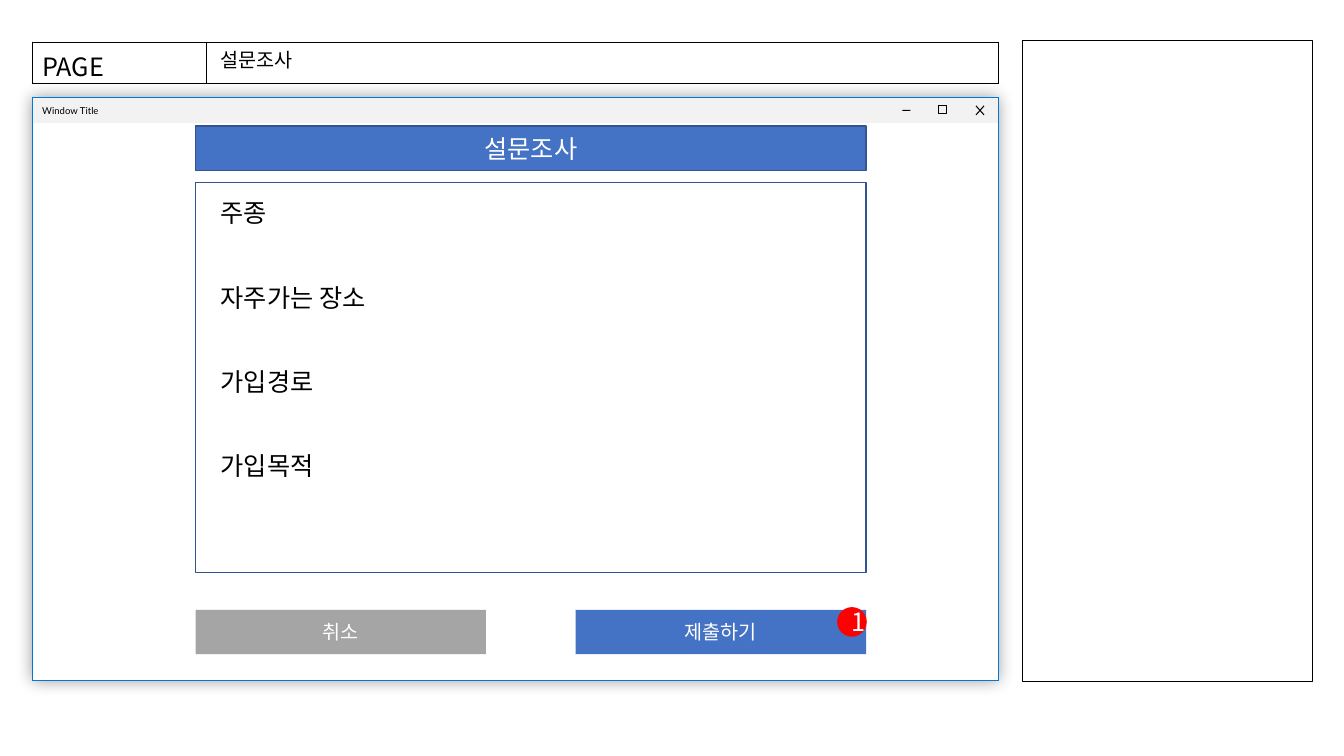
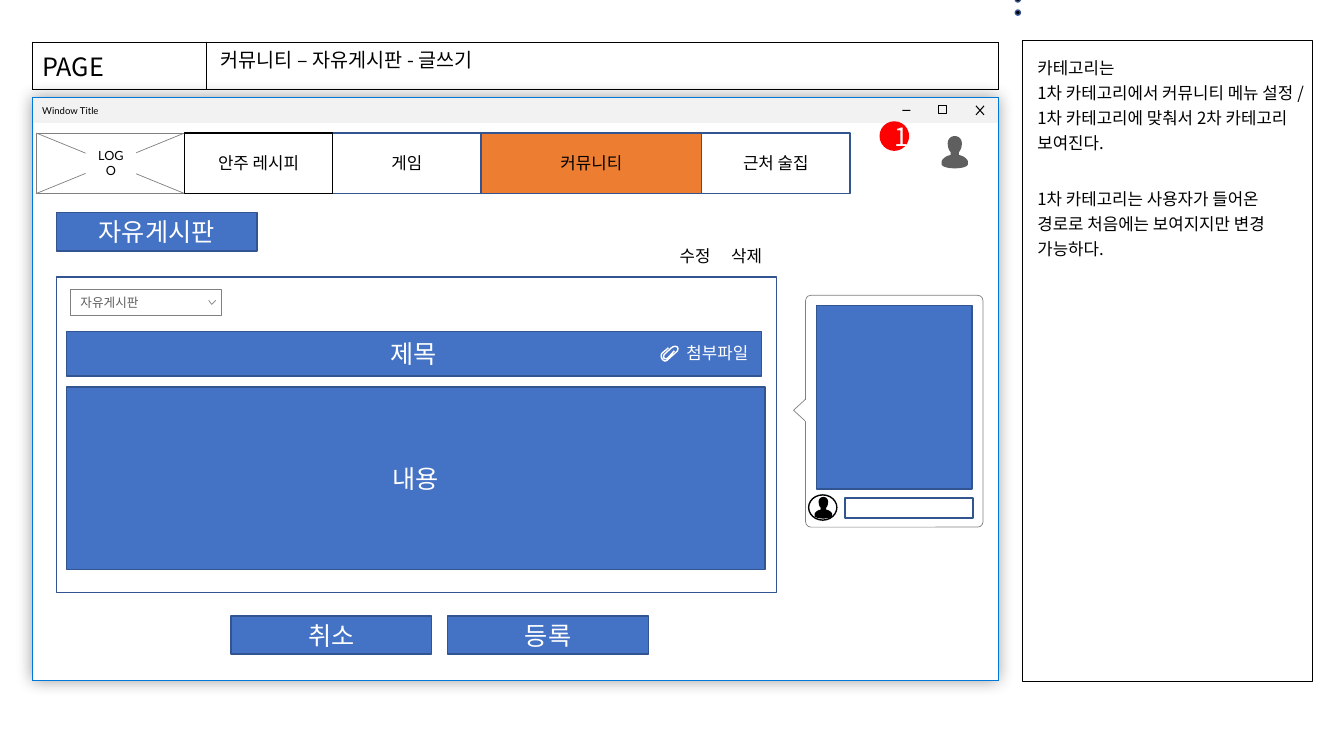
from lxml.etree import SubElement
from pptx import Presentation
from pptx.dml.color import RGBColor
from pptx.enum.shapes import MSO_CONNECTOR, MSO_SHAPE as Geo
from pptx.enum.text import MSO_ANCHOR as Anchor, PP_ALIGN as Align
from pptx.oxml.ns import qn
from pptx.util import Pt

PX = 9144
COLORS = {
    "white": "FFFFFF", "black": "000000", "blue": "4472C4", "edge": "325491",
    "orange": "ED7D31", "silver": "A5A5A5", "red": "FF0000", "frame": "0078D7",
    "bar": "F2F2F2", "gray": "808080", "dark": "5F5F5F",
}
KOREAN = "Noto Sans CJK KR"
LATIN = "Lato"
PERSON_HALF = [
    [(13, 0), (9, 0), (6, 3), (6, 7)],
    [(6, 7), (6, 11), (7, 14), (9, 16)],
    [(9, 17), (9, 18), (9, 19), (8, 19)],
    [(8, 19), (3, 20), (0, 24), (0, 25)],
    [(0, 28), (0, 30), (5, 32), (13, 32)],
]
PERSON = PERSON_HALF + [
    [(26 - x, y) for x, y in reversed(curve)] for curve in reversed(PERSON_HALF)
]
CLIP = [
    [(80, 20)],
    [(15, 75), (-10, 110), (30, 170), (65, 145)],
    [(165, 55), (195, 10), (145, -10), (110, 20)],
    [(40, 85), (15, 115), (45, 145), (75, 120)],
    [(138, 50)],
]


def rgb(name):
    return RGBColor.from_string(COLORS[name])


def bezier(points, t):
    while len(points) > 1:
        points = [
            (a + (c - a) * t, b + (d - b) * t)
            for (a, b), (c, d) in zip(points, points[1:])
        ]
    return points[0]


def sample(curves, steps=8):
    return [
        bezier(curve, step / steps)
        for curve in curves
        for step in (range(steps + 1) if len(curve) > 1 else [0])
    ]


class Wireframe:
    def __init__(self):
        self.deck = Presentation()
        self.deck.slide_width = 1333 * PX
        self.deck.slide_height = 750 * PX
        self.shapes = None

    def page(self, heading, row_height):
        layout = self.deck.slide_layouts[6]
        self.shapes = self.deck.slides.add_slide(layout).shapes
        self.box(1014, 40, 288, 636, None, "black", 0.75)
        self.window()
        self.page_table(row_height)
        self.text(209, 41, 747, 36, heading, size=14)

    def window(self):
        panel = self.box(32, 97, 958, 578, "white", "frame", 0.5)
        self.glow(panel)
        self.box(32, 97, 958, 25, "bar", None, text="Window Title", size=6.8,
                 color="black", font=LATIN, align=Align.LEFT, insets=(10, 6, 10, 5))
        self.box(895, 109, 8, 1, "black", None)
        self.box(931, 105, 8, 8, None, "black", 0.75)
        self.rule(968, 105, 976, 114, "black", 0.75)
        self.rule(968, 114, 976, 105, "black", 0.75)
        self.box(32, 97, 958, 578, None, "frame", 0.5)

    def glow(self, shape):
        effects = shape._element.spPr.find(qn("a:effectLst"))
        shadow = SubElement(effects, qn("a:outerShdw"), blurRad=str(Pt(12)),
                            dist="0", dir="0", algn="ctr", rotWithShape="0")
        shade = SubElement(shadow, qn("a:srgbClr"), val=COLORS["black"])
        SubElement(shade, qn("a:alpha"), val="40000")

    def page_table(self, height):
        table = self.shapes.add_table(
            1, 2, 32 * PX, 42 * PX, 958 * PX, height * PX).table
        table.first_row = table.horz_banding = False
        table.rows[0].height = height * PX
        for column, width in zip(table.columns, (173, 785)):
            column.width = width * PX
        for cell in table.iter_cells():
            cell.margin_bottom = 0
            props = cell._tc.get_or_add_tcPr()
            for side in ("lnL", "lnR", "lnT", "lnB"):
                border = SubElement(props, qn("a:" + side), w=str(Pt(1)))
                fill = SubElement(border, qn("a:solidFill"))
                SubElement(fill, qn("a:srgbClr"), val=COLORS["black"])
            cell.fill.background()
        label = table.cell(0, 0).text_frame
        label.text = "PAGE"
        self.format(label, 18, "black", KOREAN, Align.LEFT)

    def format(self, frame, size, color, font, align):
        for paragraph in frame.paragraphs:
            paragraph.alignment = align
            for run in paragraph.runs:
                run.font.size = Pt(size)
                run.font.color.rgb = rgb(color)
                run.font.name = font
                SubElement(run._r.get_or_add_rPr(), qn("a:ea"), typeface=KOREAN)

    def paint(self, shape, fill, line, weight):
        shape.shadow.inherit = False
        if fill:
            shape.fill.solid()
            shape.fill.fore_color.rgb = rgb(fill)
        else:
            shape.fill.background()
        if line:
            shape.line.color.rgb = rgb(line)
            shape.line.width = Pt(weight)
        else:
            shape.line.fill.background()
        return shape

    def box(self, left, top, width, height, fill="blue", line="edge", weight=1,
            text="", size=18, color="white", font=KOREAN, align=Align.CENTER,
            insets=(10, 5, 10, 5), geometry=Geo.RECTANGLE):
        shape = self.shapes.add_shape(
            geometry, left * PX, top * PX, width * PX, height * PX)
        self.paint(shape, fill, line, weight)
        if text:
            frame = shape.text_frame
            frame.text = text
            frame.word_wrap = True
            frame.vertical_anchor = Anchor.MIDDLE
            (frame.margin_left, frame.margin_top,
             frame.margin_right, frame.margin_bottom) = [i * PX for i in insets]
            self.format(frame, size, color, font, align)
        return shape

    def text(self, left, top, width, height, text, size=18, color="black",
             anchor=Anchor.MIDDLE, spacing=None, gap=0):
        frame = self.shapes.add_textbox(
            left * PX, top * PX, width * PX, height * PX).text_frame
        frame.word_wrap = True
        frame.vertical_anchor = anchor
        frame.text = text
        for index, paragraph in enumerate(frame.paragraphs):
            paragraph.line_spacing = spacing
            paragraph.space_before = Pt(gap if index else 0)
        self.format(frame, size, color, KOREAN, Align.LEFT)

    def marker(self, left, top, number):
        self.box(left, top, 28, 28, "red", "red", text=number, geometry=Geo.OVAL)

    def rule(self, x1, y1, x2, y2, color, weight):
        line = self.shapes.add_connector(
            MSO_CONNECTOR.STRAIGHT, x1 * PX, y1 * PX, x2 * PX, y2 * PX)
        line.line.color.rgb = rgb(color)
        line.line.width = Pt(weight)
        SubElement(line._element.spPr, qn("a:effectLst"))

    def outline(self, left, top, points, scale=1, fill=None, line=None,
                weight=1, close=False):
        factor = 100
        (x, y), *rest = [(round(a * factor), round(b * factor)) for a, b in points]
        builder = self.shapes.build_freeform(x, y, scale=scale * PX / factor)
        builder.add_line_segments(rest, close=close)
        shape = builder.convert_to_shape(left * PX, top * PX)
        self.paint(shape, fill, line, weight)

    def person(self, left, top, scale, color):
        self.outline(left, top, sample(PERSON), scale, fill=color, close=True)


def survey(wire):
    wire.page("설문조사", 41)
    wire.box(194, 125, 665, 44, text="설문조사")
    wire.box(571, 605, 288, 44, line=None, text="제출하기", size=14)
    wire.marker(831, 603, "1")
    wire.box(194, 605, 288, 44, "silver", None, text="취소", size=14)
    wire.box(194, 181, 665, 387, "white")
    wire.text(209, 191, 190, 313, "주종\n자주가는 장소\n가입경로\n가입목적",
              anchor=Anchor.TOP, gap=38.7)


def navigation(wire):
    wire.box(36, 132, 147, 60, "white", "gray", 0.5)
    wire.rule(36, 192, 183, 132, "gray", 0.5)
    wire.rule(183, 192, 36, 132, "gray", 0.5)
    wire.box(85, 150, 50, 23, "white", None, text="LOGO", size=9,
             color="black", font=LATIN, insets=(8, 4, 8, 4))
    for left, width, fill, line, menu in (
        (330, 147, "white", "edge", "게임"),
        (477, 219, "orange", "edge", "커뮤니티"),
        (696, 147, "white", "edge", "근처 술집"),
        (183, 147, "white", "black", "안주 레시피"),
    ):
        wire.box(left, 132, width, 60, fill, line, text=menu, size=12, color="black")
    wire.marker(873, 121, "1")
    wire.person(934, 135, 1, "dark")


def chat(wire):
    bubble = wire.box(799, 293, 176, 230, "white", "gray", 0.5,
                      geometry=Geo.ROUNDED_RECTANGLE)
    bubble.adjustments[0] = 0.03
    tail = wire.box(782, 401, 22, 12, "white", "gray", 0.5,
                    geometry=Geo.ISOSCELES_TRIANGLE)
    tail.rotation = 270
    wire.rule(799, 397, 799, 418, "white", 0.5)
    wire.box(838, 494, 127, 20, "white")
    wire.box(810, 303, 154, 182)
    wire.box(802, 491, 28, 25, "white", "black", geometry=Geo.OVAL)
    wire.person(808, 493, 0.67, "black")


def editor(wire):
    wire.box(56, 211, 199, 38, text="자유게시판")
    wire.box(56, 275, 714, 313, "white")
    for left, action in ((706, "삭제"), (655, "수정")):
        wire.box(left, 236, 69, 36, "white", None, text=action, size=12, color="black")
    wire.box(70, 287, 150, 26, "white", "gray", 0.5, text="자유게시판", size=9,
             color="dark", font=LATIN, align=Align.LEFT, insets=(10, 6, 28, 6))
    wire.outline(207, 298, [(0, 0), (3, 4), (7, 0)], line="gray", weight=0.5)
    wire.box(66, 329, 689, 44, text="제목")
    wire.box(66, 384, 693, 181, text="내용")
    wire.text(671, 335, 88, 30, "첨부파일", size=12, color="white")
    wire.outline(655, 343, sample(CLIP), 0.1, line="white")
    for left, action in ((229, "취소"), (444, "등록")):
        wire.box(left, 611, 199, 38, text=action)


def post(wire):
    wire.page("커뮤니티 – 자유게시판 - 글쓰기", 47)
    wire.text(1019, 47, 288, 645,
              "카테고리는\v1차 카테고리에서 커뮤니티 메뉴 설정 / "
              "1차 카테고리에 맞춰서 2차 카테고리 보여진다.\n"
              "1차 카테고리는 사용자가 들어온 경로로 처음에는 보여지지만 변경 가능하다.",
              size=12, anchor=Anchor.TOP, spacing=1.25, gap=21.7)
    navigation(wire)
    chat(wire)
    editor(wire)
    for top in (-3, 10):
        wire.box(1007, top, 5, 5, "black", geometry=Geo.OVAL)


def main():
    wire = Wireframe()
    survey(wire)
    post(wire)
    wire.deck.save("out.pptx")


if __name__ == "__main__":
    main()
